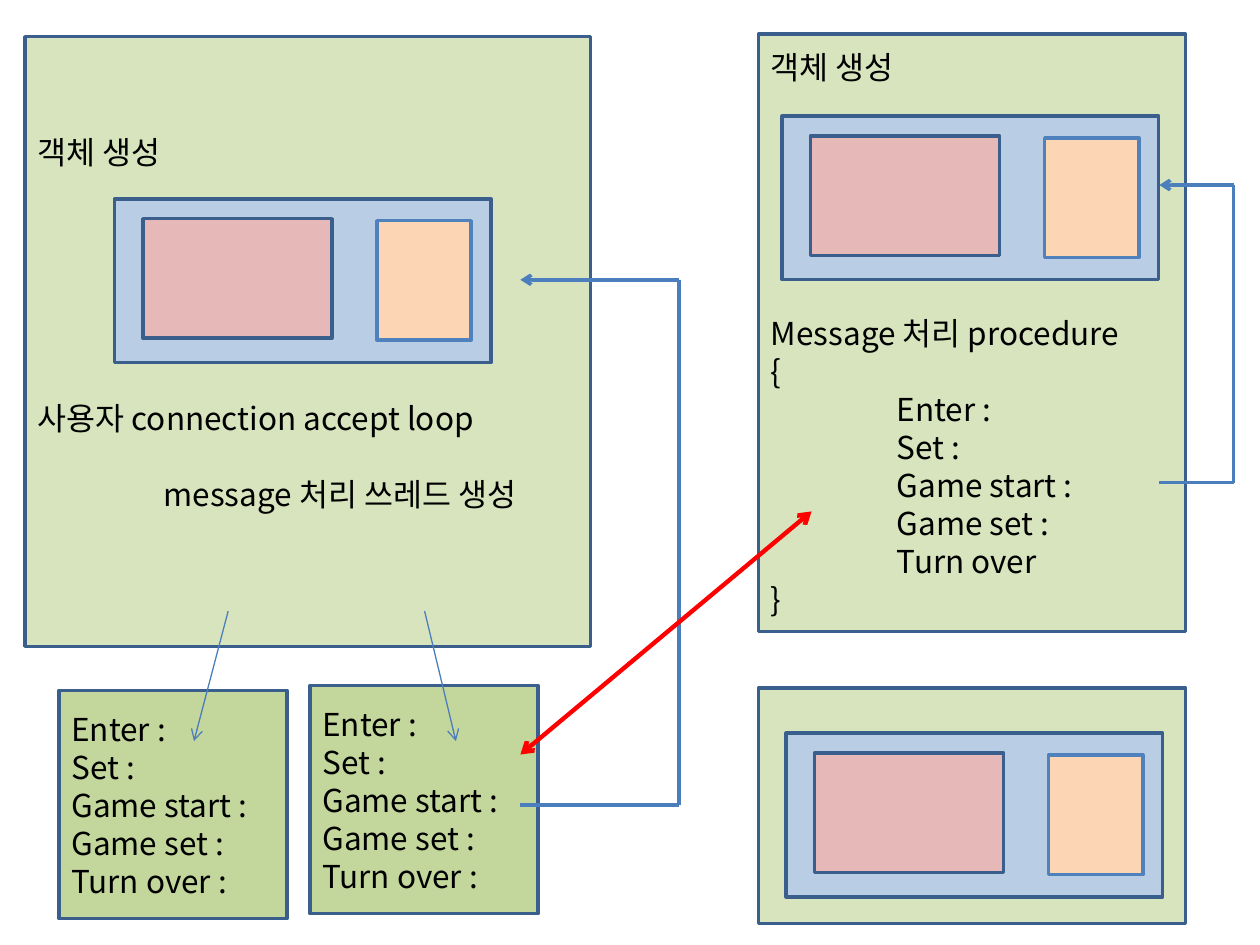
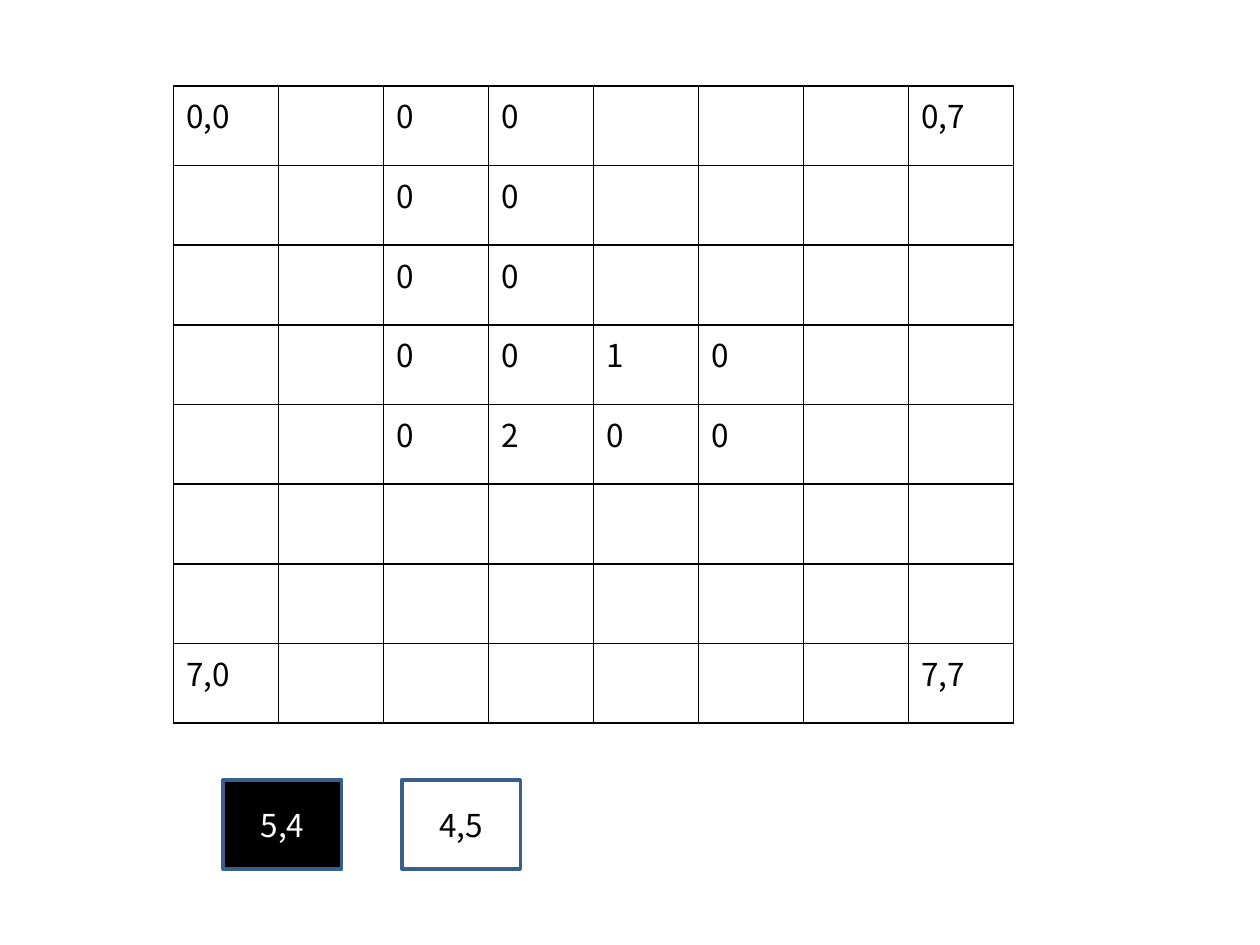
from dataclasses import dataclass
from itertools import pairwise

from lxml.etree import SubElement
from pptx import Presentation
from pptx.dml.color import RGBColor
from pptx.enum.shapes import MSO_CONNECTOR as Connector, MSO_SHAPE as Preset
from pptx.enum.text import MSO_ANCHOR as Anchor, PP_ALIGN as Align
from pptx.oxml.ns import qn
from pptx.slide import Slide
from pptx.table import _Cell as Cell
from pptx.text.text import TextFrame
from pptx.util import Cm, Pt


@dataclass(frozen=True)
class Theme:
    """Colours, font and sizes shared by both slides."""
    font: str = "Noto Sans CJK KR"
    size: float = 18
    line_height: float = 21.7
    outline_width: float = 2
    thin_width: float = 0.75
    grid_width: float = 1
    black: str = "000000"
    white: str = "FFFFFF"
    outline: str = "3A5F8C"
    accent: str = "4F81BD"
    arrow: str = "4B7EBC"
    exchange: str = "FF0000"
    process: str = "D7E4BD"
    thread: str = "C3D69B"
    room: str = "B9CDE5"
    board: str = "E6B9B8"
    player: str = "FCD5B5"


THEME = Theme()


@dataclass(frozen=True)
class Box:
    """A rectangle with its place in centimetres."""
    left: float
    top: float
    width: float
    height: float
    fill: str | None
    outline: str = THEME.outline


@dataclass(frozen=True)
class Line:
    """A line of text with its tab level and the empty lines above it."""
    text: str
    level: int = 0
    gap: int = 0


@dataclass(frozen=True)
class Route:
    """A line through several points, with optional arrowheads."""
    points: tuple[tuple[float, float], ...]
    color: str = THEME.arrow
    width: float = THEME.outline_width
    start_arrow: bool = False
    end_arrow: bool = True


COMMANDS = ("Enter :", "Set :", "Game start :", "Game set :")
SERVER_LINES = (
    Line("객체 생성"),
    Line("사용자 connection accept loop", gap=6),
    Line("message 처리 쓰레드 생성", level=1, gap=1),
)
CLIENT_LINES = (
    Line("객체 생성"),
    Line("Message 처리 procedure", gap=6),
    Line("{"),
    *(Line(command, level=1) for command in (*COMMANDS, "Turn over")),
    Line("}"),
)
THREAD_LINES = tuple(Line(command) for command in (*COMMANDS, "Turn over :"))

SERVER = Box(0.51, 0.74, 11.4, 12.29, THEME.process)
CLIENT = Box(15.29, 0.69, 8.61, 12.04, THEME.process)
OTHER_CLIENT = Box(15.29, 13.87, 8.61, 4.75, THEME.process)
THREADS = (
    Box(1.19, 13.92, 4.6, 4.6, THEME.thread),
    Box(6.25, 13.82, 4.6, 4.6, THEME.thread),
)
ROOM_CORNERS = ((2.31, 4.01), (15.77, 2.34), (15.85, 14.78))
ROUTES = (
    Route(((4.6, 12.32), (3.91, 14.94)), width=THEME.thin_width),
    Route(((8.56, 12.32), (9.19, 14.94)), width=THEME.thin_width),
    Route(((10.49, 16.23), (13.69, 16.23), (13.69, 5.64), (10.49, 5.64))),
    Route(((23.37, 9.73), (24.87, 9.73), (24.87, 3.73), (23.37, 3.73))),
    Route(((10.49, 15.21), (16.36, 10.31)), THEME.exchange, 2.5, start_arrow=True),
)

GRID_SIZE = 8
GRID_VALUES = {
    (0, 0): "0,0", (0, 7): "0,7", (7, 0): "7,0", (7, 7): "7,7",
    **{(row, column): "0" for row in range(5) for column in (2, 3)},
    (3, 4): "1", (3, 5): "0", (4, 3): "2", (4, 4): "0", (4, 5): "0",
}


def write_text(frame: TextFrame, lines: tuple[Line, ...], *, color: str = THEME.black,
               align: Align = Align.LEFT, line_height: float | None = None) -> None:
    """Fill a text frame with formatted lines."""
    for index, line in enumerate(lines):
        paragraph = frame.add_paragraph() if index else frame.paragraphs[0]
        paragraph.alignment = align
        if line_height:
            paragraph.line_spacing = Pt(line_height)
            paragraph.space_before = Pt(line.gap * line_height)
        if line.level:
            properties = paragraph._p.get_or_add_pPr()
            properties.set("marL", str(Cm(2.54 * line.level)))
            properties.set("indent", "0")
        run = paragraph.add_run()
        run.text = line.text
        run.font.name = THEME.font
        run.font.size = Pt(THEME.size)
        run.font.color.rgb = RGBColor.from_string(color)
        SubElement(run._r.get_or_add_rPr(), qn("a:ea"), typeface=THEME.font)


def draw_box(slide: Slide, box: Box) -> TextFrame:
    """Draw a rectangle and return its text frame."""
    shape = slide.shapes.add_shape(
        Preset.RECTANGLE, Cm(box.left), Cm(box.top), Cm(box.width), Cm(box.height))
    shape.shadow.inherit = False
    if box.fill:
        shape.fill.solid()
        shape.fill.fore_color.rgb = RGBColor.from_string(box.fill)
    else:
        shape.fill.background()
    shape.line.color.rgb = RGBColor.from_string(box.outline)
    shape.line.width = Pt(THEME.outline_width)
    frame = shape.text_frame
    frame.word_wrap = True
    frame.vertical_anchor = Anchor.MIDDLE
    return frame


def draw_room(slide: Slide, left: float, top: float) -> None:
    """Draw a room holding a board and a player."""
    draw_box(slide, Box(left, top, 7.59, 3.3, THEME.room))
    draw_box(slide, Box(left + 0.57, top + 0.4, 3.81, 2.41, THEME.board))
    draw_box(slide, Box(left + 5.29, top + 0.44, 1.9, 2.41, THEME.player, THEME.accent))


def draw_route(slide: Slide, route: Route) -> None:
    """Draw the segments of a route with arrowheads at its ends."""
    segments = list(pairwise(route.points))
    for index, (start, end) in enumerate(segments):
        connector = slide.shapes.add_connector(
            Connector.STRAIGHT, *(Cm(value) for value in (*start, *end)))
        connector.line.color.rgb = RGBColor.from_string(route.color)
        connector.line.width = Pt(route.width)
        properties = connector._element.spPr
        outline = properties.find(qn("a:ln"))
        if route.start_arrow and index == 0:
            SubElement(outline, qn("a:headEnd"), type="arrow")
        if route.end_arrow and index == len(segments) - 1:
            SubElement(outline, qn("a:tailEnd"), type="arrow")
        SubElement(properties, qn("a:effectLst"))


def border_cell(cell: Cell) -> None:
    """Give a cell four black borders and no fill."""
    properties = cell._tc.get_or_add_tcPr()
    for side in ("lnL", "lnR", "lnT", "lnB"):
        border = SubElement(properties, qn(f"a:{side}"), w=str(Pt(THEME.grid_width)))
        fill = SubElement(border, qn("a:solidFill"))
        SubElement(fill, qn("a:srgbClr"), val=THEME.black)
    cell.fill.background()


def build_flow(slide: Slide) -> None:
    """Build the server and client message flow."""
    server_frame = draw_box(slide, SERVER)
    server_frame.margin_bottom += Pt(THEME.line_height)
    write_text(server_frame, SERVER_LINES, line_height=THEME.line_height)
    for box, lines in ((CLIENT, CLIENT_LINES), *((box, THREAD_LINES) for box in THREADS)):
        write_text(draw_box(slide, box), lines, line_height=THEME.line_height)
    draw_box(slide, OTHER_CLIENT)
    for left, top in ROOM_CORNERS:
        draw_room(slide, left, top)
    for route in ROUTES:
        draw_route(slide, route)


def build_grid(slide: Slide) -> None:
    """Build the game grid and its two pieces."""
    table = slide.shapes.add_table(
        GRID_SIZE, GRID_SIZE, Cm(3.5), Cm(1.73), Cm(16.94), Cm(12.85)).table
    table.first_row = table.horz_banding = False
    for row in range(GRID_SIZE):
        for column in range(GRID_SIZE):
            cell = table.cell(row, column)
            border_cell(cell)
            if text := GRID_VALUES.get((row, column)):
                write_text(cell.text_frame, (Line(text),))
    for left, text, fill, color in ((4.5, "5,4", THEME.black, THEME.white),
                                    (8.1, "4,5", None, THEME.black)):
        frame = draw_box(slide, Box(left, 15.72, 2.39, 1.8, fill))
        write_text(frame, (Line(text),), color=color, align=Align.CENTER)


def main() -> None:
    """Build and save the presentation."""
    presentation = Presentation()
    presentation.slide_width, presentation.slide_height = Cm(25.4), Cm(19.05)
    blank_layout = presentation.slide_layouts[6]
    for build in (build_flow, build_grid):
        build(presentation.slides.add_slide(blank_layout))
    presentation.save("out.pptx")


main()
